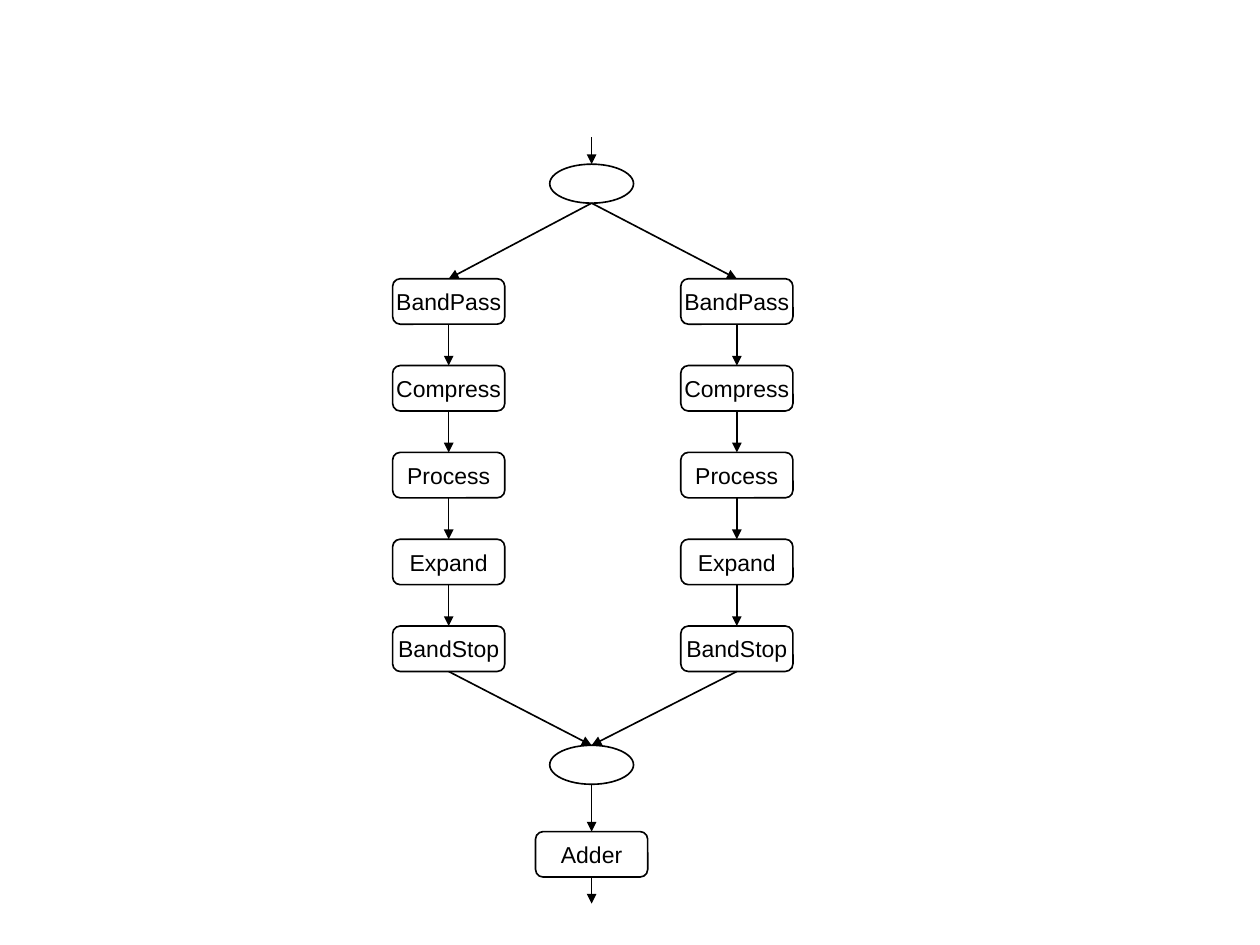
import pptx
import pptx.util
import pptx.dml.color
import pptx.enum.shapes
import pptx.enum.text
import lxml.etree
import pptx.oxml.ns

Inches = pptx.util.Inches
Shapes = pptx.enum.shapes.MSO_SHAPE
BLACK = pptx.dml.color.RGBColor(0, 0, 0)
WHITE = pptx.dml.color.RGBColor(255, 255, 255)

STAGES = ["BandPass", "Compress", "Process", "Expand", "BandStop"]
COLUMN_CENTERS = [3.8, 6.24]
CENTER = 5.01
STAGE_TOP, STAGE_STEP = 2.36, 0.735
SPLIT_TOP, JOIN_TOP, ADDER_TOP = 1.39, 6.31, 7.04
INPUT_TOP, OUTPUT_BOTTOM = 1.16, 7.65
BOX_SIZE = (0.95, 0.385)
OVAL_SIZE = (0.71, 0.33)
TOP, BOTTOM = 0, 2
FRAME_FORMAT = {
    "word_wrap": False,
    "vertical_anchor": pptx.enum.text.MSO_ANCHOR.MIDDLE,
    "margin_left": Inches(0.11),
    "margin_right": Inches(0.11),
    "margin_top": Inches(0.05),
    "margin_bottom": Inches(0.05),
}
FONT_FORMAT = {"name": "Arial", "size": pptx.util.Pt(14)}


def apply_format(target, values):
    for name, value in values.items():
        setattr(target, name, value)


def add_node(slide, kind, center, top, size):
    width, height = size
    shape = slide.shapes.add_shape(
        kind, Inches(center - width / 2), Inches(top), Inches(width), Inches(height))
    shape.shadow.inherit = False
    shape.fill.solid()
    shape.fill.fore_color.rgb = WHITE
    shape.line.color.rgb = BLACK
    shape.line.width = pptx.util.Pt(1)
    return shape


def add_box(slide, text, center, top):
    shape = add_node(slide, Shapes.ROUNDED_RECTANGLE, center, top, BOX_SIZE)
    shape.adjustments[0] = 0.167
    apply_format(shape.text_frame, FRAME_FORMAT)
    paragraph = shape.text_frame.paragraphs[0]
    paragraph.text = text
    paragraph.alignment = pptx.enum.text.PP_ALIGN.CENTER
    apply_format(paragraph.font, FONT_FORMAT)
    paragraph.font.color.rgb = BLACK
    return shape


def add_arrow(slide, start, end):
    connector = slide.shapes.add_connector(
        pptx.enum.shapes.MSO_CONNECTOR.STRAIGHT, *start, *end)
    connector.line.color.rgb = BLACK
    connector.line.width = pptx.util.Pt(1)
    line = connector.line._get_or_add_ln()
    lxml.etree.SubElement(line, pptx.oxml.ns.qn("a:tailEnd"), type="triangle")
    properties = connector._element.spPr
    lxml.etree.SubElement(properties, pptx.oxml.ns.qn("a:effectLst"))
    return connector


def top_of(shape):
    return shape.left + shape.width // 2, shape.top


def bottom_of(shape):
    return shape.left + shape.width // 2, shape.top + shape.height


def link(slide, upper, lower):
    connector = add_arrow(slide, bottom_of(upper), top_of(lower))
    if upper.auto_shape_type == Shapes.ROUNDED_RECTANGLE:
        connector.begin_connect(upper, BOTTOM)
    if lower.auto_shape_type == Shapes.ROUNDED_RECTANGLE:
        connector.end_connect(lower, TOP)


def main():
    presentation = pptx.Presentation()
    presentation.slide_width = Inches(10.67)
    presentation.slide_height = Inches(8)
    slide = presentation.slides.add_slide(presentation.slide_layouts[6])

    split = add_node(slide, Shapes.OVAL, CENTER, SPLIT_TOP, OVAL_SIZE)
    join = add_node(slide, Shapes.OVAL, CENTER, JOIN_TOP, OVAL_SIZE)
    adder = add_box(slide, "Adder", CENTER, ADDER_TOP)

    for center in COLUMN_CENTERS:
        boxes = [add_box(slide, stage, center, STAGE_TOP + row * STAGE_STEP)
                 for row, stage in enumerate(STAGES)]
        chain = [split, *boxes, join]
        for upper, lower in zip(chain, chain[1:]):
            link(slide, upper, lower)

    link(slide, join, adder)
    add_arrow(slide, (Inches(CENTER), Inches(INPUT_TOP)), top_of(split))
    output = add_arrow(slide, bottom_of(adder), (Inches(CENTER), Inches(OUTPUT_BOTTOM)))
    output.begin_connect(adder, BOTTOM)

    presentation.save("out.pptx")


if __name__ == "__main__":
    main()
